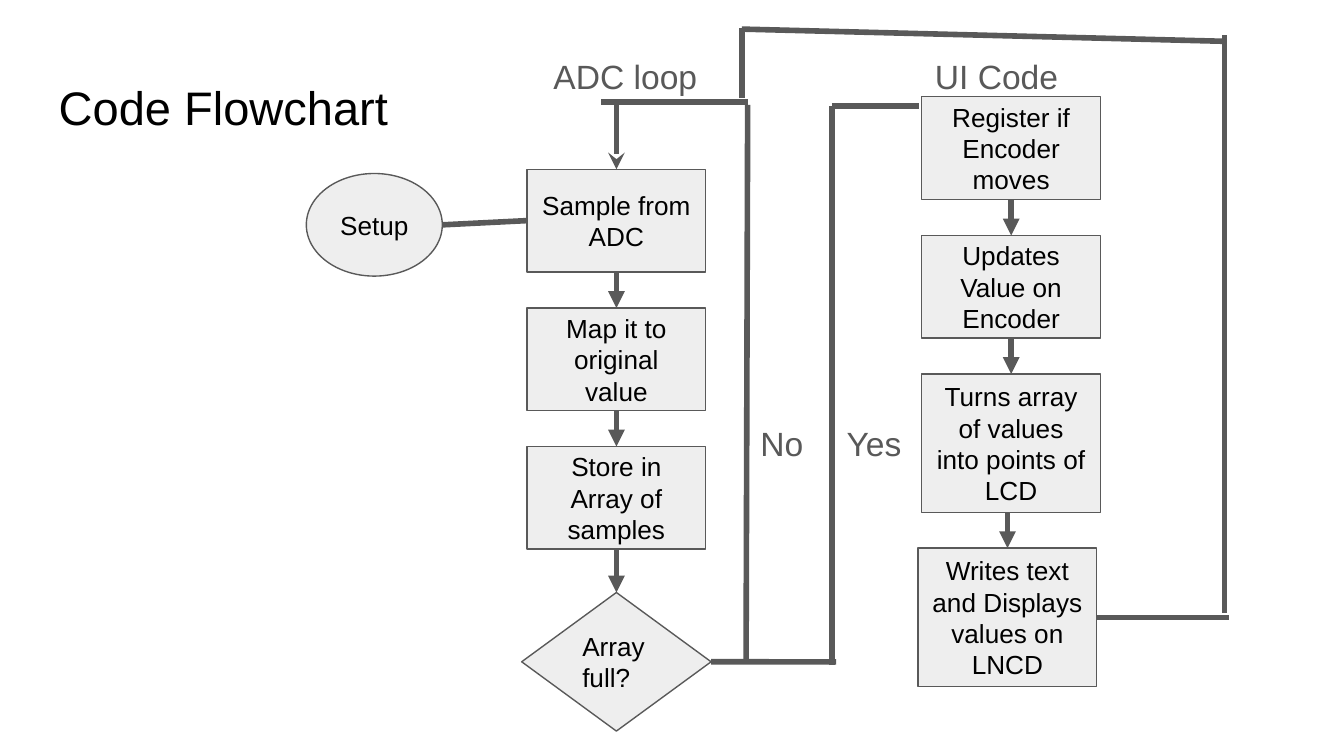
import pptx
import pptx.dml.color
import pptx.enum.shapes
import pptx.enum.text
import pptx.util
from lxml import etree
from pptx.oxml.ns import qn
from pptx.util import Cm

COLORS = {"text": "000000", "gray": "595959", "fill": "EEEEEE"}
FONT = "Arial"
SHAPES = pptx.enum.shapes.MSO_SHAPE
CENTER = pptx.enum.text.PP_ALIGN.CENTER
LEFT = pptx.enum.text.PP_ALIGN.LEFT
MIDDLE = pptx.enum.text.MSO_ANCHOR.MIDDLE
TOP = pptx.enum.text.MSO_ANCHOR.TOP

# Connection sites
SITE_TOP, SITE_LEFT, SITE_BOTTOM, SITE_RIGHT = range(4)

# Flowchart grid, in centimetres
BOX_WIDTH, BOX_HEIGHT, TALL_HEIGHT = 3.38, 1.94, 2.62
BOX_PITCH = 2.62
ADC_LEFT, ADC_TOP = 9.96, 3.2
UI_LEFT, UI_TOP = 17.42, 1.83


def color(name):
    return pptx.dml.color.RGBColor.from_string(COLORS[name])


def write_text(shape, text, size=14, color_name="text", align=LEFT, anchor=TOP):
    frame = shape.text_frame
    frame.word_wrap = True
    frame.vertical_anchor = anchor
    frame.margin_left = frame.margin_right = Cm(0.25)
    frame.margin_top = frame.margin_bottom = Cm(0.25)
    paragraph = frame.paragraphs[0]
    paragraph.alignment = align
    run = paragraph.add_run()
    run.text = text
    run.font.name = FONT
    run.font.size = pptx.util.Pt(size)
    run.font.color.rgb = color(color_name)


def add_label(slide, text, left, top, width, height, **text_format):
    box = slide.shapes.add_textbox(Cm(left), Cm(top), Cm(width), Cm(height))
    write_text(box, text, **text_format)


def add_node(slide, text, left, top, width=BOX_WIDTH, height=BOX_HEIGHT,
             kind=SHAPES.RECTANGLE, align=CENTER):
    shape = slide.shapes.add_shape(kind, Cm(left), Cm(top), Cm(width), Cm(height))
    shape.shadow.inherit = False
    shape.fill.solid()
    shape.fill.fore_color.rgb = color("fill")
    shape.line.color.rgb = color("gray")
    shape.line.width = pptx.util.Pt(0.75)
    write_text(shape, text, align=align, anchor=MIDDLE)
    return shape


def add_line(slide, start=(0, 0), end=(0, 0), source=None, target=None, arrow=None):
    """Draw a line; source and target are (shape, site) pairs to join."""
    connector = slide.shapes.add_connector(
        pptx.enum.shapes.MSO_CONNECTOR.STRAIGHT, *map(Cm, start + end))
    if source:
        connector.begin_connect(*source)
    if target:
        connector.end_connect(*target)
    connector.line.color.rgb = color("gray")
    connector.line.width = pptx.util.Pt(3)
    if arrow:
        etree.SubElement(connector.line._get_or_add_ln(), qn("a:tailEnd"), type=arrow)
    etree.SubElement(connector._element.spPr, qn("a:effectLst"))


def add_arrows(slide, nodes):
    for upper, lower in zip(nodes, nodes[1:]):
        add_line(slide, source=(upper, SITE_BOTTOM), target=(lower, SITE_TOP),
                 arrow="triangle")


def main():
    presentation = pptx.Presentation()
    presentation.slide_width = Cm(25.4)
    presentation.slide_height = Cm(14.29)
    slide = presentation.slides.add_slide(presentation.slide_layouts[6])

    # Title and labels
    add_label(slide, "Code Flowchart", 0.86, 1.24, 8.1, 1.6, size=25.2)
    for text, left, top, width, height in (
            ("ADC loop", 10.21, 0.81, 3.89, 0.84),
            ("UI Code", 17.42, 0.81, 3.89, 0.84),
            ("No", 14.12, 7.75, 1.6, 1.93),
            ("Yes", 15.75, 7.75, 1.6, 1.93)):
        add_label(slide, text, left, top, width, height, size=18, color_name="gray")

    # ADC loop column
    add_node(slide, "Setup", 5.79, 3.28, width=2.57, kind=SHAPES.OVAL)
    adc_texts = ("Sample from ADC", "Map it to original value",
                 "Store in Array of samples")
    adc_nodes = [add_node(slide, text, ADC_LEFT, ADC_TOP + row * BOX_PITCH)
                 for row, text in enumerate(adc_texts)]
    decision = add_node(slide, "Array full?", 9.86, 11.2, 3.58, TALL_HEIGHT,
                        kind=SHAPES.DIAMOND, align=LEFT)
    add_arrows(slide, adc_nodes + [decision])
    sample = adc_nodes[0]
    add_line(slide, start=(8.36, 4.25), target=(sample, SITE_LEFT))

    # UI code column
    ui_nodes = [
        add_node(slide, text, UI_LEFT, UI_TOP + row * BOX_PITCH, height=height)
        for row, (text, height) in enumerate((
            ("Register if Encoder moves", BOX_HEIGHT),
            ("Updates Value on Encoder", BOX_HEIGHT),
            ("Turns array of values into points of LCD", TALL_HEIGHT)))]
    add_arrows(slide, ui_nodes)
    display = add_node(slide, "Writes text and Displays values on LNCD",
                       17.35, 10.36, height=TALL_HEIGHT)
    add_line(slide, start=(19.04, 9.69), target=(display, SITE_TOP), arrow="triangle")

    # "No" branch back to sampling
    add_line(slide, (14.1, 12.52), (14.13, 1.98))
    add_line(slide, (14.13, 1.93), (11.36, 1.93))
    add_line(slide, start=(11.65, 1.93), target=(sample, SITE_TOP), arrow="stealth")

    # "Yes" branch to the UI code
    add_line(slide, end=(15.8, 12.51), source=(decision, SITE_RIGHT))
    add_line(slide, (15.72, 12.57), (15.72, 2.01))
    add_line(slide, (15.72, 2.01), (17.37, 2.01))

    # Return from the display to the ADC loop
    add_line(slide, end=(23.22, 11.67), source=(display, SITE_RIGHT))
    add_line(slide, (23.14, 11.58), (23.14, 0.67))
    add_line(slide, (23.11, 0.78), (14.02, 0.55))
    add_line(slide, (14.02, 0.53), (14.02, 1.85))

    presentation.save("out.pptx")


if __name__ == "__main__":
    main()
